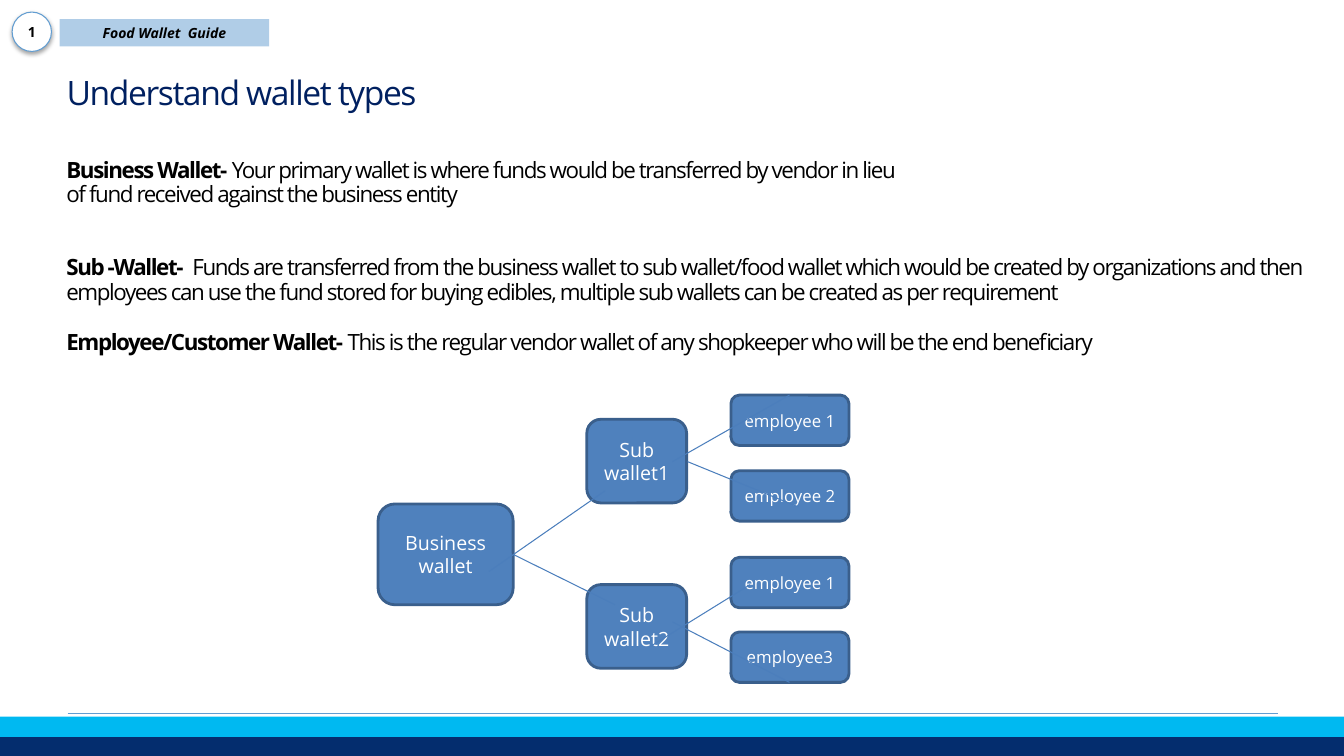
from lxml import etree
from pptx import Presentation
from pptx.dml.color import RGBColor
from pptx.enum import shapes, text
from pptx.oxml import ns
from pptx.util import Inches, Pt

NAVY = RGBColor(0x04, 0x2D, 0x6E)
CYAN = RGBColor(0x00, 0xB9, 0xF1)
TITLE_BLUE = RGBColor(0x00, 0x20, 0x60)
SKY = RGBColor(0x62, 0x9D, 0xD1)
BOX_BLUE = RGBColor(0x4F, 0x81, 0xBD)
BOX_EDGE = RGBColor(0x3A, 0x5F, 0x8C)
LINK_BLUE = RGBColor(0x4B, 0x7E, 0xBC)
BLACK = RGBColor(0, 0, 0)
WHITE = RGBColor(0xFF, 0xFF, 0xFF)

OVAL = shapes.MSO_SHAPE.OVAL
RECTANGLE = shapes.MSO_SHAPE.RECTANGLE
ROUNDED = shapes.MSO_SHAPE.ROUNDED_RECTANGLE


def set_attributes(target, values):
    for name, value in values.items():
        setattr(target, name, value)


def add_element(parent, tag, **attributes):
    return etree.SubElement(parent, ns.qn(tag), attributes)


class SlideBuilder:
    font_name = "Open Sans"

    def __init__(self, slide):
        self.slide = slide

    def place(self, shape, left, top, width, height):
        names = ("left", "top", "width", "height")
        lengths = map(Inches, (left, top, width, height))
        set_attributes(shape, dict(zip(names, lengths)))

    def run(self, paragraph, words, size, color, spacing=0, **style):
        run = paragraph.add_run()
        run.text = words
        set_attributes(run.font, {"name": self.font_name, "size": Pt(size), **style})
        run.font.color.rgb = color
        if spacing:
            run.font._element.set("spc", str(spacing * 100))

    def frame(self, shape, anchor):
        set_attributes(shape.text_frame, {
            "word_wrap": True,
            "auto_size": text.MSO_AUTO_SIZE.NONE,
            "vertical_anchor": anchor,
        })
        return shape.text_frame

    def title(self, words, box):
        shape = self.slide.shapes.title
        self.place(shape, *box)
        paragraph = self.frame(shape, text.MSO_ANCHOR.TOP).paragraphs[0]
        set_attributes(paragraph, {"alignment": text.PP_ALIGN.LEFT, "line_spacing": 0.9})
        self.run(paragraph, words, 24, TITLE_BLUE, spacing=-1)

    def body(self, entries, box):
        shape = self.slide.shapes.add_textbox(*map(Inches, box))
        frame = self.frame(shape, text.MSO_ANCHOR.TOP)
        for index, (lead, words, gap) in enumerate(entries):
            paragraph = frame.add_paragraph() if index else frame.paragraphs[0]
            set_attributes(paragraph, {"line_spacing": 0.9, "space_before": Pt(gap)})
            if lead:
                self.run(paragraph, lead, 16, BLACK, spacing=-1, bold=True)
            self.run(paragraph, words, 16, BLACK, spacing=-1, bold=False)

    def shape(self, kind, box, fill, edge=None, edge_width=0):
        shape = self.slide.shapes.add_shape(kind, *map(Inches, box))
        shape.shadow.inherit = False
        shape.fill.solid()
        shape.fill.fore_color.rgb = fill
        if edge is None:
            shape.line.fill.background()
        else:
            shape.line.color.rgb = edge
            shape.line.width = Pt(edge_width)
        return shape

    def label(self, shape, words, size, color, **style):
        paragraph = self.frame(shape, text.MSO_ANCHOR.MIDDLE).paragraphs[0]
        paragraph.alignment = text.PP_ALIGN.CENTER
        self.run(paragraph, words, size, color, **style)

    def wallet(self, words, box, size):
        shape = self.shape(ROUNDED, box, BOX_BLUE, BOX_EDGE, 2)
        self.label(shape, words, size, WHITE)

    def line(self, start, end, color, width):
        connector = self.slide.shapes.add_connector(
            shapes.MSO_CONNECTOR.STRAIGHT, *map(Inches, start + end))
        connector.line.color.rgb = color
        connector.line.width = Pt(width)
        add_element(connector._element.spPr, "a:effectLst")

    def drop_shadow(self, shape):
        effects = shape._element.spPr.find(ns.qn("a:effectLst"))
        shadow = add_element(effects, "a:outerShdw", blurRad=str(Pt(3.1)),
                             dist=str(Pt(1.8)), dir="5400000", rotWithShape="0")
        color = add_element(shadow, "a:srgbClr", val=str(BLACK))
        add_element(color, "a:alpha", val="35000")

    def transparency(self, shape, opacity):
        color = shape._element.spPr.find(ns.qn("a:solidFill"))[0]
        add_element(color, "a:alpha", val=str(opacity * 1000))


presentation = Presentation()
presentation.slide_width = Inches(13.33)
presentation.slide_height = Inches(7.5)
builder = SlideBuilder(presentation.slides.add_slide(presentation.slide_layouts[5]))

# Footer bands and rule
builder.shape(RECTANGLE, (0, 7.31, 13.33, 0.19), NAVY)
builder.shape(RECTANGLE, (0, 7.11, 13.33, 0.2), CYAN)
builder.line((0.67, 7.08), (12.68, 7.08), SKY, 0.25)

# Page badge and guide banner
badge = builder.shape(OVAL, (0.12, 0.12, 0.39, 0.39), WHITE, SKY, 0.75)
builder.drop_shadow(badge)
set_attributes(badge.text_frame, {"margin_left": 0, "margin_right": 0})
builder.label(badge, "1", 10, BLACK, bold=True)
banner = builder.shape(RECTANGLE, (0.59, 0.19, 2.08, 0.27), SKY)
builder.transparency(banner, 50)
builder.label(banner, "Food Wallet  Guide", 10, BLACK, bold=True, italic=True)

# Title and wallet descriptions: lead, text, space before
builder.title("Understand wallet types", (0.56, 0.71, 12.52, 0.54))
builder.body([
    ("Business Wallet- ",
     "Your primary wallet is where funds would be transferred by vendor in lieu", 0),
    ("", "of fund received against the business entity", 0),
    ("Sub -Wallet-  ",
     "Funds are transferred from the business wallet to sub wallet/food wallet which "
     "would be created by organizations and then employees can use the fund stored for "
     "buying edibles, multiple sub wallets can be created as per requirement", 35),
    ("Employee/Customer Wallet- ",
     "This is the regular vendor wallet of any shopkeeper who will be the end beneficiary",
     19),
], (0.56, 1.53, 12.52, 2.25))

# Wallet tree
builder.wallet("Business wallet", (3.75, 5, 1.34, 1), 14)
for name, top in (("Sub wallet1", 4.16), ("Sub wallet2", 5.8)):
    builder.wallet(name, (5.82, top, 0.99, 0.83), 14)
for name, top in (("employee 1", 3.92), ("employee 2", 4.67),
                  ("employee 1", 5.53), ("employee3", 6.27)):
    builder.wallet(name, (7.25, top, 1.17, 0.5), 12)

# Links between wallets
for start, end in (
    ((5.09, 5.5), (6.1, 6)),
    ((4.85, 5.67), (6, 4.87)),
    ((6.82, 4.58), (7.92, 5.03)),
    ((6.67, 4.58), (7.83, 3.92)),
    ((6.67, 6.17), (7.83, 6.77)),
    ((6.44, 6.42), (7.44, 5.8)),
):
    builder.line(start, end, LINK_BLUE, 0.75)

presentation.save("out.pptx")
